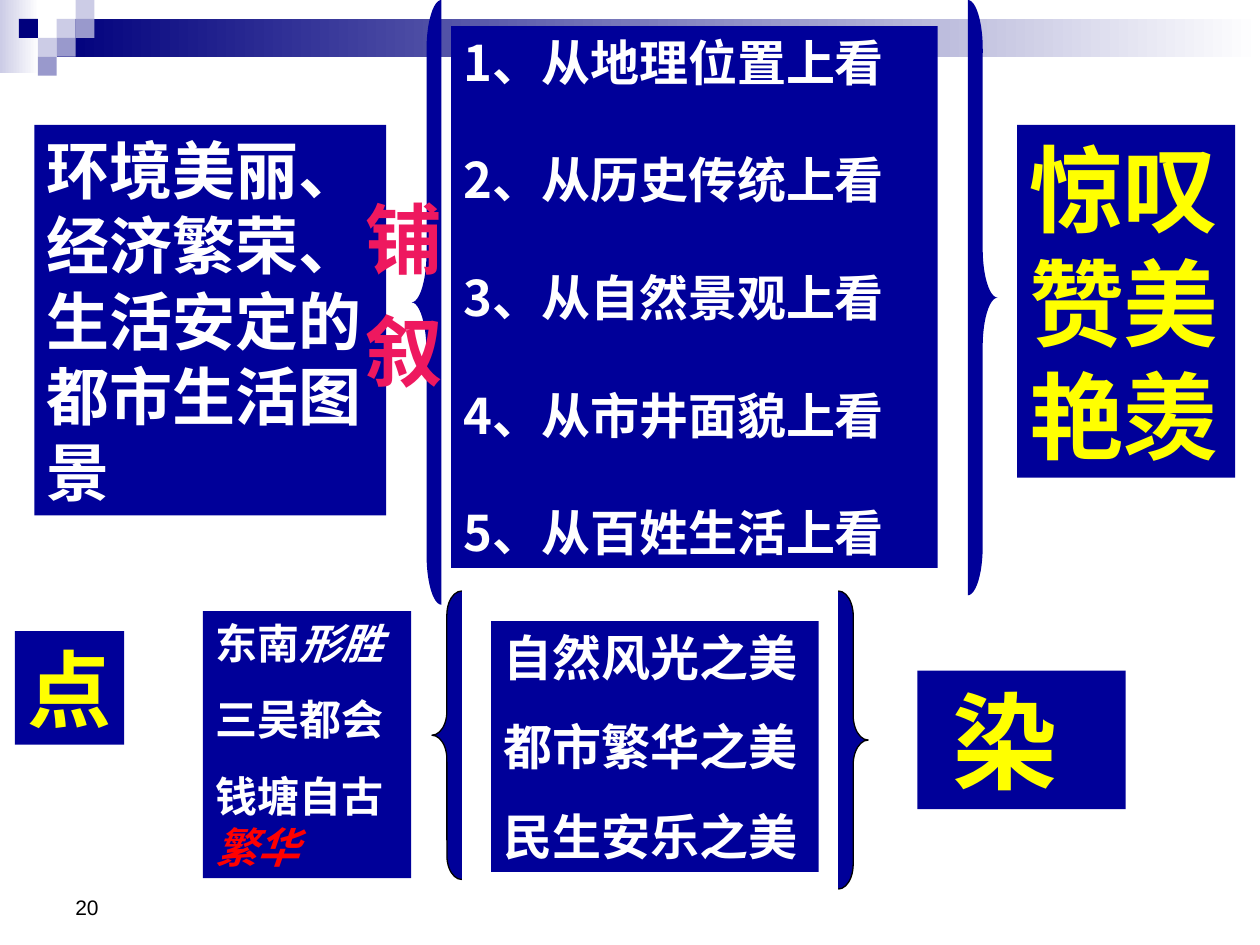
from dataclasses import dataclass

from lxml import etree
from pptx import Presentation
from pptx.dml.color import RGBColor
from pptx.enum.shapes import MSO_SHAPE
from pptx.enum.text import MSO_ANCHOR, PP_ALIGN
from pptx.oxml.ns import qn
from pptx.slide import Slide
from pptx.util import Pt

RECTANGLE = MSO_SHAPE.RECTANGLE
LEFT_BRACE = MSO_SHAPE.LEFT_BRACE
RIGHT_BRACE = MSO_SHAPE.RIGHT_BRACE
TOP, BOTTOM = MSO_ANCHOR.TOP, MSO_ANCHOR.BOTTOM
LEFT = PP_ALIGN.LEFT

COLORS = {
    "panel": "000099",
    "navy": "00007D",
    "lilac": "9999CC",
    "pale": "CCCCE6",
    "white": "FFFFFF",
    "yellow": "FFFF00",
    "red": "FF0000",
    "pink": "EE185F",
    "black": "000000",
}
CJK_FONT = "Noto Sans CJK SC"
LINE_HEIGHT = 1.2
CELL = 10.8


@dataclass(frozen=True)
class Span:
    text: str
    color: str | None = None
    italic: bool = False


@dataclass(frozen=True)
class TextPanel:
    left: float
    top: float
    width: float
    height: float
    lines: tuple[tuple[Span, ...], ...]
    size: float
    color: str = "white"
    gap: float = 0
    font: str = "Arial"
    fill: str | None = "panel"
    bold: bool = True
    anchor: MSO_ANCHOR = TOP
    indent: int = 0
    shadow: bool = False


@dataclass(frozen=True)
class Brace:
    kind: MSO_SHAPE
    left: float
    top: float
    height: float
    curve: float
    outlined: bool = False
    width: float = 17.1


@dataclass(frozen=True)
class GradientBar:
    left: float
    top: float
    width: float
    height: float
    start: str


def plain_lines(*texts: str) -> tuple[tuple[Span, ...], ...]:
    return tuple((Span(text),) for text in texts)


BARS = (
    GradientBar(0, 0, 22.3, 41.8, "pale"),
    GradientBar(32.4, 10.8, 687.6, 21.6, "navy"),
)
# Mosaic cells: column, row, color
MOSAIC = (
    (3, 1, "pale"), (4, 0, "pale"), (4, 1, "lilac"), (2, 2, "pale"),
    (1, 1, "navy"), (3, 2, "lilac"), (2, 3, "lilac"),
)
PAGE_NUMBER = TextPanel(36, 491.8, 167.8, 37.4, plain_lines("20"), 12, "black",
                        fill=None, bold=False, anchor=BOTTOM)
CONTENT = (
    TextPanel(116, 349.2, 118.9, 152.6,
              ((Span("东南"), Span("形胜", italic=True)),
               (Span("三吴都会"),),
               (Span("钱塘自古"), Span("繁华", "red", True))),
              24, gap=15),
    Brace(LEFT_BRACE, 246.8, 337.7, 164.9, 0.8, True),
    TextPanel(280.6, 355, 187.2, 143.2,
              plain_lines("自然风光之美", "都市繁华之美", "民生安乐之美"), 28, gap=17.5),
    Brace(RIGHT_BRACE, 479, 337.7, 170.4, 0.83, True),
    TextPanel(524.3, 383.2, 119, 79.2, plain_lines("染"), 60, "yellow",
              font=CJK_FONT, indent=13),
    TextPanel(8.5, 360.7, 62.4, 64.8, plain_lines("点"), 48, "yellow"),
    TextPanel(19.7, 71.4, 201, 223.2,
              plain_lines("环境美丽、经济繁荣、生活安定的都市生活图景"), 36),
    Brace(LEFT_BRACE, 235.2, 0, 345.6, 1.67),
    TextPanel(257.8, 15, 278, 309.6,
              plain_lines("1、从地理位置上看", "2、从历史传统上看", "3、从自然景观上看",
                          "4、从市井面貌上看", "5、从百姓生活上看"),
              28, gap=33.6, font=CJK_FONT),
    Brace(RIGHT_BRACE, 553, 0, 340.2, 1.64),
    TextPanel(581.2, 71.4, 124.6, 201.6, plain_lines("惊叹", "赞美", "艳羡"), 54, "yellow"),
    TextPanel(201.6, 105.8, 62.6, 123.8, plain_lines("铺", "叙"), 44, "pink", gap=11,
              font="Times New Roman", fill=None, shadow=True),
)


def rgb(name: str) -> RGBColor:
    return RGBColor.from_string(COLORS[name])


def add_plain_shape(page: Slide, kind: MSO_SHAPE, left: float, top: float,
                    width: float, height: float, fill: str | None = None):
    shape = page.shapes.add_shape(kind, Pt(left), Pt(top), Pt(width), Pt(height))
    shape.shadow.inherit = False
    shape.line.fill.background()
    if fill:
        shape.fill.solid()
        shape.fill.fore_color.rgb = rgb(fill)
    return shape


def draw_bar(page: Slide, bar: GradientBar) -> None:
    shape = add_plain_shape(page, RECTANGLE, bar.left, bar.top, bar.width, bar.height)
    shape.fill.gradient()
    shape.fill.gradient_angle = 0
    for stop, color in zip(shape.fill.gradient_stops, (bar.start, "white")):
        stop.color.rgb = rgb(color)


def draw_brace(page: Slide, brace: Brace) -> None:
    shape = add_plain_shape(page, brace.kind, brace.left, brace.top,
                            brace.width, brace.height, "panel")
    shape.adjustments[0] = brace.curve
    if brace.outlined:
        shape.line.color.rgb = rgb("black")
        shape.line.width = Pt(0.75)


def add_text_shadow(properties) -> None:
    effects = etree.Element(qn("a:effectLst"))
    shadow = etree.SubElement(effects, qn("a:outerShdw"), dist="25400", dir="2700000")
    etree.SubElement(shadow, qn("a:srgbClr"), val=COLORS["black"])
    properties.find(qn("a:solidFill")).addnext(effects)


def format_paragraph(para, panel: TextPanel) -> None:
    para.alignment = LEFT
    para.line_spacing = Pt(panel.size * LINE_HEIGHT)
    if panel.indent:
        para._p.get_or_add_pPr().set("marL", str(Pt(panel.indent)))
    para.font.size = Pt(panel.size)
    para.font.bold = panel.bold
    para.font.color.rgb = rgb(panel.color)
    para.font.name = panel.font
    properties = para._p.pPr.find(qn("a:defRPr"))
    east_asian = etree.Element(qn("a:ea"), typeface=CJK_FONT)
    properties.find(qn("a:latin")).addnext(east_asian)
    if panel.shadow:
        add_text_shadow(properties)


def draw_panel(page: Slide, panel: TextPanel) -> None:
    box = page.shapes.add_textbox(Pt(panel.left), Pt(panel.top),
                                  Pt(panel.width), Pt(panel.height))
    if panel.fill:
        box.fill.solid()
        box.fill.fore_color.rgb = rgb(panel.fill)
    frame = box.text_frame
    frame.word_wrap = True
    frame.vertical_anchor = panel.anchor
    for index, spans in enumerate(panel.lines):
        para = frame.add_paragraph() if index else frame.paragraphs[0]
        if index and panel.gap:
            para.space_before = Pt(panel.gap)
        format_paragraph(para, panel)
        for span in spans:
            run = para.add_run()
            run.text = span.text
            if span.color:
                run.font.color.rgb = rgb(span.color)
            if span.italic:
                run.font.italic = True


def main() -> None:
    deck = Presentation()
    deck.slide_width, deck.slide_height = Pt(720), Pt(540)
    page = deck.slides.add_slide(deck.slide_layouts[6])
    for bar in BARS:
        draw_bar(page, bar)
    for column, row, color in MOSAIC:
        add_plain_shape(page, RECTANGLE, column * CELL, row * CELL, CELL, CELL, color)
    draw_panel(page, PAGE_NUMBER)
    for item in CONTENT:
        if isinstance(item, Brace):
            draw_brace(page, item)
        else:
            draw_panel(page, item)
    deck.save("out.pptx")


if __name__ == "__main__":
    main()
